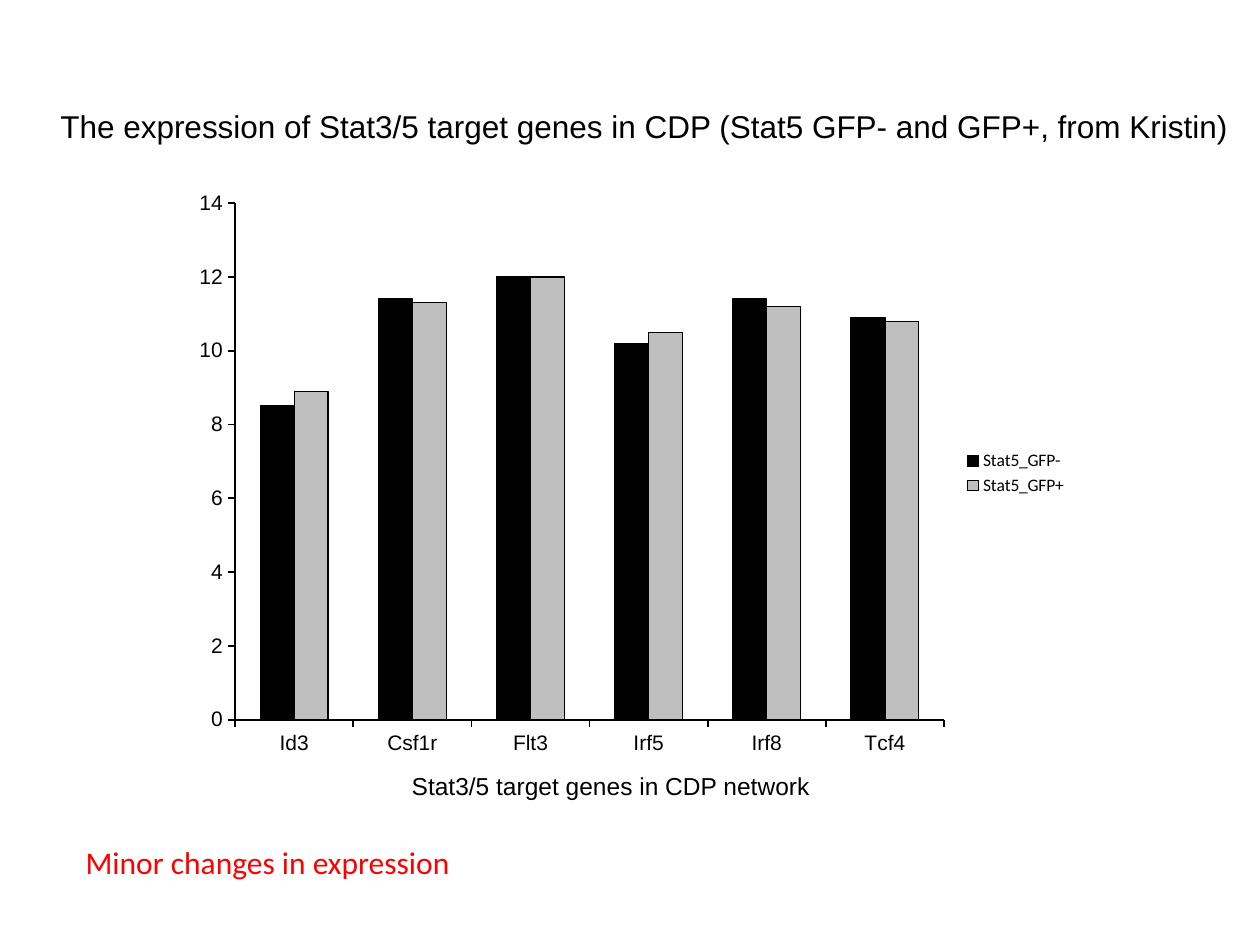
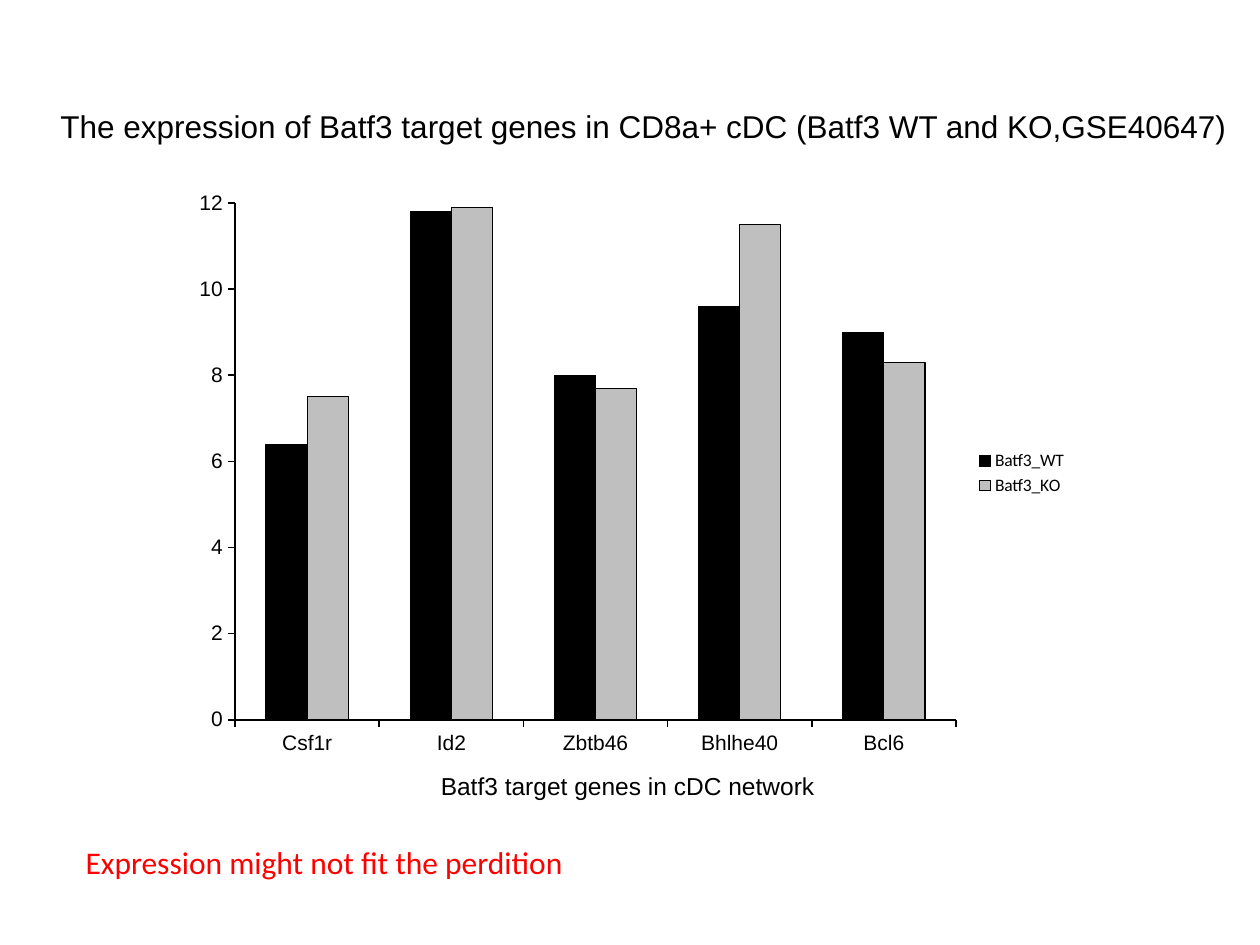
from pptx import Presentation
from pptx.chart.data import CategoryChartData
from pptx.dml.color import RGBColor
from pptx.enum.chart import XL_CHART_TYPE, XL_LEGEND_POSITION, XL_TICK_MARK
from pptx.enum.text import MSO_AUTO_SIZE
from pptx.util import Pt

BLACK = RGBColor(0x00, 0x00, 0x00)
GREY = RGBColor(0xBF, 0xBF, 0xBF)
RED = RGBColor(0xFF, 0x00, 0x00)
HEADING_FONT = "Arial"
BODY_FONT = "Calibri"


class ExpressionDeck:
    """Build slides that compare gene expression between two conditions."""

    def __init__(self):
        self.presentation = Presentation()
        self.presentation.slide_width = Pt(720)
        self.presentation.slide_height = Pt(540)
        self.slide = None

    def add_slide(self):
        blank = self.presentation.slide_layouts[6]
        self.slide = self.presentation.slides.add_slide(blank)

    def add_text(self, text, left, top, width, size=18, font=HEADING_FONT, color=BLACK):
        box = self.slide.shapes.add_textbox(Pt(left), Pt(top), Pt(width), Pt(size * 1.2 + 7.2))
        frame = box.text_frame
        frame.word_wrap = False
        frame.auto_size = MSO_AUTO_SIZE.SHAPE_TO_FIT_TEXT
        paragraph = frame.paragraphs[0]
        paragraph.text = text
        paragraph.font.size = Pt(size)
        paragraph.font.name = font
        paragraph.font.color.rgb = color

    def style_axis(self, axis):
        axis.has_major_gridlines = False
        axis.major_tick_mark = XL_TICK_MARK.OUTSIDE
        axis.minor_tick_mark = XL_TICK_MARK.NONE
        axis.format.line.color.rgb = BLACK
        axis.format.line.width = Pt(1)
        axis.tick_labels.font.size = Pt(12)
        axis.tick_labels.font.name = HEADING_FONT
        axis.tick_labels.font.color.rgb = BLACK

    def add_chart(self, genes, conditions, maximum):
        expression = CategoryChartData(number_format="0.0")
        expression.categories = genes
        for condition, levels in conditions.items():
            expression.add_series(condition, levels)
        chart = self.slide.shapes.add_chart(
            XL_CHART_TYPE.COLUMN_CLUSTERED, Pt(103.7), Pt(103), Pt(513.4), Pt(334.8), expression
        ).chart
        chart.has_title = False
        chart.font.size = Pt(10)
        chart.font.name = BODY_FONT
        chart.font.color.rgb = BLACK
        chart.has_legend = True
        chart.legend.position = XL_LEGEND_POSITION.RIGHT
        chart.legend.include_in_layout = False

        self.style_axis(chart.category_axis)
        levels_axis = chart.value_axis
        self.style_axis(levels_axis)
        levels_axis.minimum_scale = 0
        levels_axis.maximum_scale = maximum
        levels_axis.major_unit = 2
        levels_axis.tick_labels.number_format = "0"
        levels_axis.tick_labels.number_format_is_linked = False

        plot = chart.plots[0]
        plot.vary_by_categories = False
        plot.gap_width = 150
        plot.overlap = 0
        for series, color in zip(plot.series, (BLACK, GREY)):
            series.format.fill.solid()
            series.format.fill.fore_color.rgb = color
            series.format.line.color.rgb = BLACK
            series.format.line.width = Pt(0.75)

    def add_comparison(self, title, genes, conditions, maximum, caption, conclusion):
        title_text, title_width = title
        caption_text, caption_left, caption_width = caption
        conclusion_text, conclusion_width = conclusion
        self.add_slide()
        self.add_chart(genes, conditions, maximum)
        self.add_text(title_text, 27.4, 57.6, title_width)
        self.add_text(caption_text, caption_left, 437, caption_width, size=14)
        self.add_text(conclusion_text, 41.8, 478, conclusion_width, font=BODY_FONT, color=RED)


def main():
    deck = ExpressionDeck()
    deck.add_comparison(
        title=(
            "The expression of Stat3/5 target genes in CDP (Stat5 GFP- and GFP+, from Kristin)",
            688.3,
        ),
        genes=["Id3", "Csf1r", "Flt3", "Irf5", "Irf8", "Tcf4"],
        conditions={
            "Stat5_GFP-": [8.5, 11.4, 12, 10.2, 11.4, 10.9],
            "Stat5_GFP+": [8.9, 11.3, 12, 10.5, 11.2, 10.8],
        },
        maximum=14,
        caption=("Stat3/5 target genes in CDP network", 228.2, 244.8),
        conclusion=("Minor changes in expression", 225.4),
    )
    deck.add_comparison(
        title=(
            "The expression of Batf3 target genes in CD8a+ cDC (Batf3 WT and KO,GSE40647)",
            687.6,
        ),
        genes=["Csf1r", "Id2", "Zbtb46", "Bhlhe40", "Bcl6"],
        conditions={
            "Batf3_WT": [6.4, 11.8, 8, 9.6, 9],
            "Batf3_KO": [7.5, 11.9, 7.7, 11.5, 8.3],
        },
        maximum=12,
        caption=("Batf3 target genes in cDC network", 244.8, 230.4),
        conclusion=("Expression might not fit the perdition", 298.1),
    )
    deck.presentation.save("out.pptx")


if __name__ == "__main__":
    main()
